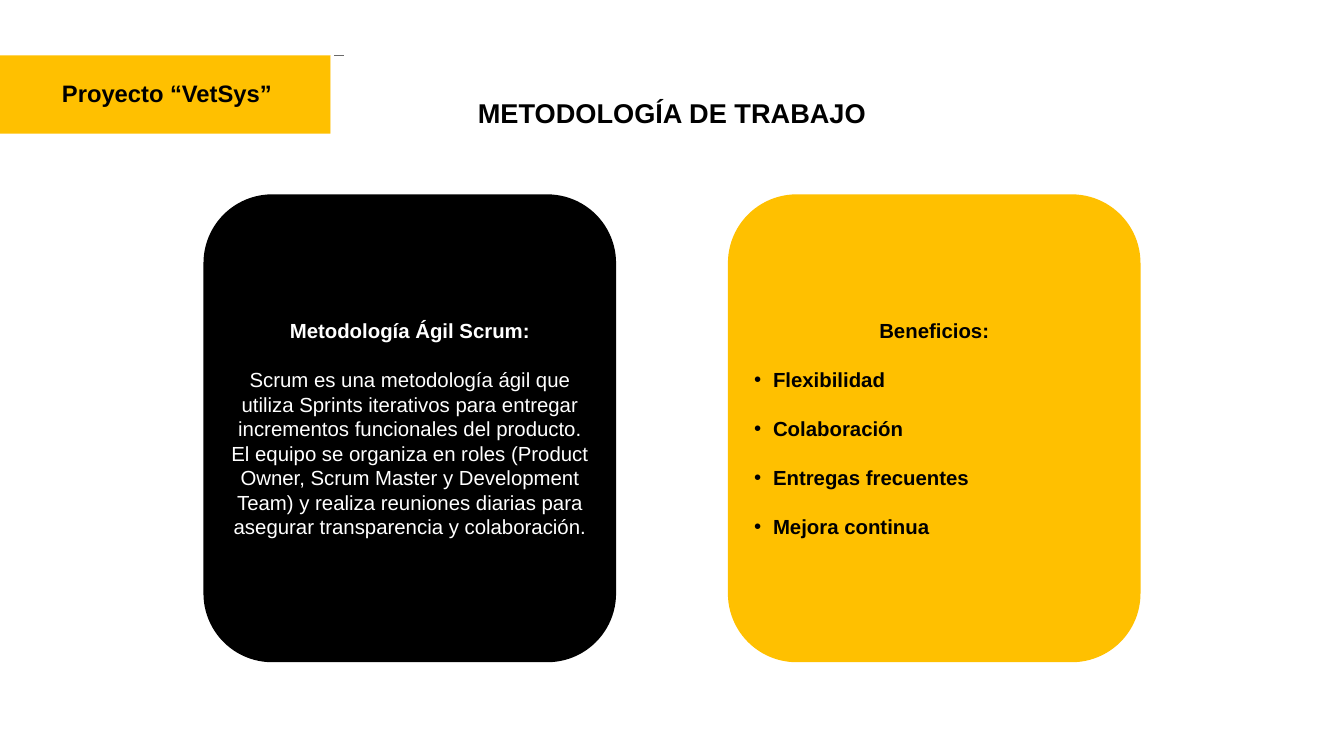
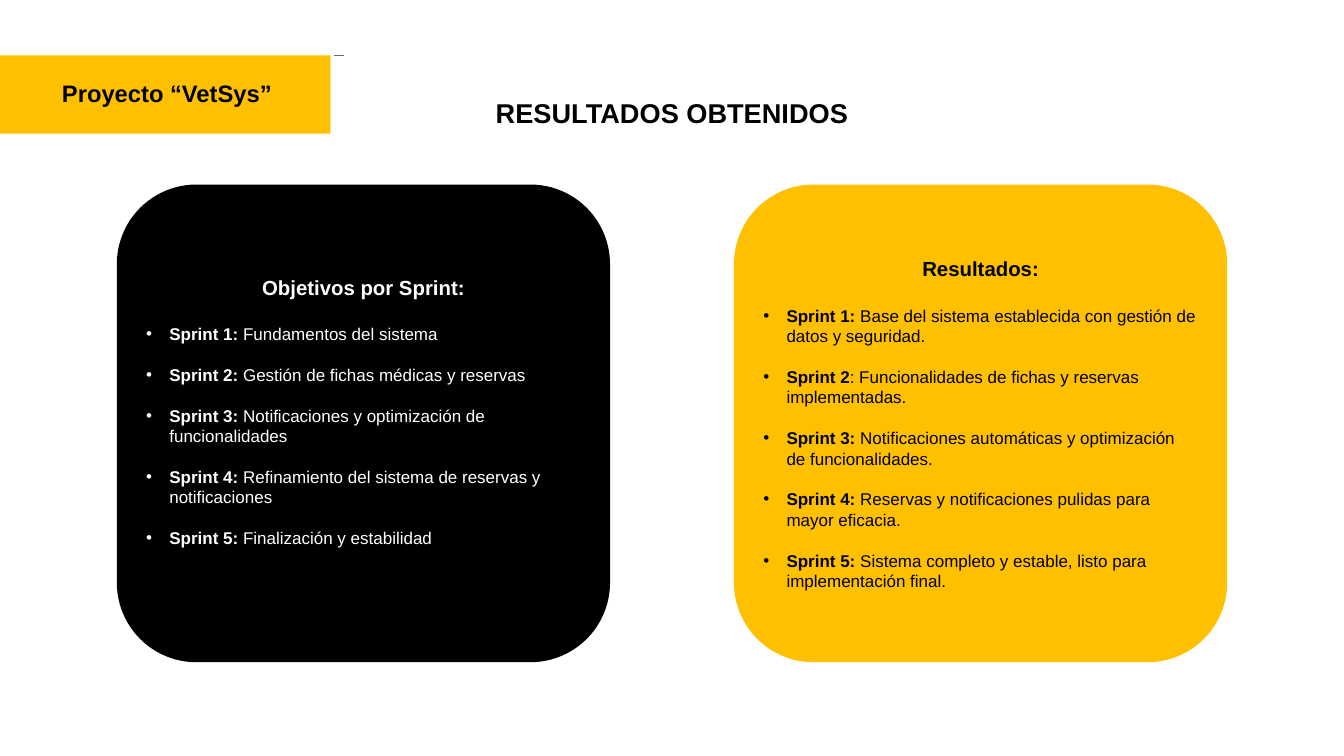
from dataclasses import dataclass

from lxml import etree
from pptx import Presentation
from pptx.dml.color import RGBColor
from pptx.enum.shapes import MSO_SHAPE
from pptx.enum.text import MSO_ANCHOR, MSO_AUTO_SIZE, PP_ALIGN
from pptx.oxml.ns import qn
from pptx.util import Emu, Inches, Pt

CENTER, LEFT = PP_ALIGN.CENTER, PP_ALIGN.LEFT
MIDDLE = MSO_ANCHOR.MIDDLE
NO_FIT = MSO_AUTO_SIZE.NONE
RECTANGLE, ROUNDED = MSO_SHAPE.RECTANGLE, MSO_SHAPE.ROUNDED_RECTANGLE
WIDTH, HEIGHT = Inches(21.99), Inches(12.37)


@dataclass(frozen=True)
class Theme:
    """Hold the colours, font and type sizes of the slides."""
    black: RGBColor = RGBColor(0, 0, 0)
    white: RGBColor = RGBColor(255, 255, 255)
    yellow: RGBColor = RGBColor(255, 192, 0)
    gray: RGBColor = RGBColor(26, 26, 26)
    font: str = "Arial"
    title: int = 32
    tag: int = 28
    heading: int = 24
    detail: int = 20
    leading: float = 1.2


THEME = Theme()
TAG = "Proyecto “VetSys”"
TAG_BOX = (0, 7.34, 24.6, 10.33)
EDGE_BOX = (24.87, 7.34, 0.75, 10.33)
EDGE_COVER_BOX = (24.6, 7.36, 3.77, 11)
TITLE_BOX = (26.83, 12.37, 46.34, 5.17)
CARD_BOTTOM = 87.6

SLIDES = [
    {
        "title": "METODOLOGÍA DE TRABAJO",
        "margin": 15.14, "top": 25.71, "width": 30.7,
        "size": THEME.heading, "indent": 0.31,
        "cards": [
            {"heading": "Metodología Ágil Scrum:", "bullets": False, "items": [
                ("", "Scrum es una metodología ágil que utiliza Sprints iterativos para "
                     "entregar incrementos funcionales del producto. El equipo se organiza "
                     "en roles (Product Owner, Scrum Master y Development Team) y realiza "
                     "reuniones diarias para asegurar transparencia y colaboración.")]},
            {"heading": "Beneficios:", "items": [
                ("Flexibilidad", ""),
                ("Colaboración", ""),
                ("Entregas frecuentes", ""),
                ("Mejora continua", "")]},
        ],
    },
    {
        "title": "RESULTADOS OBTENIDOS",
        "margin": 8.69, "top": 24.41, "width": 36.7,
        "size": THEME.detail, "indent": 0.38,
        "cards": [
            {"heading": "Objetivos por Sprint:", "bottom_inset": 0.45, "items": [
                ("Sprint 1: ", "Fundamentos del sistema"),
                ("Sprint 2: ", "Gestión de fichas médicas y reservas"),
                ("Sprint 3: ", "Notificaciones y optimización de funcionalidades"),
                ("Sprint 4: ", "Refinamiento del sistema de reservas y notificaciones"),
                ("Sprint 5: ", "Finalización y estabilidad")]},
            {"heading": "Resultados:", "items": [
                ("Sprint 1: ", "Base del sistema establecida con gestión de datos y seguridad."),
                ("Sprint 2", ": Funcionalidades de fichas y reservas implementadas."),
                ("Sprint 3: ", "Notificaciones automáticas y optimización de funcionalidades."),
                ("Sprint 4: ", "Reservas y notificaciones pulidas para mayor eficacia."),
                ("Sprint 5: ", "Sistema completo y estable, listo para implementación final.")]},
        ],
    },
]


def apply(target, **formats):
    """Set each format value on the target."""
    for name, value in formats.items():
        setattr(target, name, value)


def place(box):
    """Turn a box in percent of the slide into lengths."""
    left, top, width, height = box
    return [Emu(round(share * side / 100)) for share, side in
            ((left, WIDTH), (top, HEIGHT), (width, WIDTH), (height, HEIGHT))]


def paint(shape, color):
    """Fill a shape with one colour, no outline and no shadow."""
    shape.shadow.inherit = False
    shape.fill.solid()
    shape.fill.fore_color.rgb = color
    shape.line.fill.background()


def add_run(paragraph, text, size, color, bold):
    """Add one formatted run."""
    run = paragraph.add_run()
    run.text = text
    apply(run.font, name=THEME.font, size=Pt(size), bold=bold)
    run.font.color.rgb = color


def set_bullet(paragraph, indent):
    """Give a paragraph a bullet with a hanging indent, or none at zero."""
    properties = paragraph._p.get_or_add_pPr()
    properties.set("marL", str(Inches(indent)))
    properties.set("indent", str(-Inches(indent)))
    if indent:
        etree.SubElement(properties, qn("a:buFont")).set("typeface", THEME.font)
        etree.SubElement(properties, qn("a:buChar")).set("char", "•")
    else:
        etree.SubElement(properties, qn("a:buNone"))


def fill_placeholder(shape, box, text, size):
    """Move a placeholder to its box and set one centred bold line."""
    left, top, width, height = place(box)
    apply(shape, left=left, top=top, width=width, height=height)
    frame = shape.text_frame
    apply(frame, word_wrap=True, auto_size=NO_FIT, vertical_anchor=MIDDLE)
    paragraph = frame.paragraphs[0]
    set_bullet(paragraph, 0)
    apply(paragraph, alignment=CENTER, space_before=Pt(0))
    add_run(paragraph, text, size, THEME.black, True)


def add_edge(slide):
    """Draw the dark band edge, of which the white cover leaves a thin line."""
    left, top, width, height = place(EDGE_BOX)
    right, bottom = left + width, top + height
    outline = slide.shapes.build_freeform(left, top)
    outline.add_line_segments([(right, top), (right, bottom), (left, bottom)])
    paint(outline.convert_to_shape(), THEME.gray)
    cover = slide.shapes.add_shape(RECTANGLE, *place(EDGE_COVER_BOX))
    paint(cover, THEME.white)


def add_header(slide, title):
    """Place the project band, its edge and the slide title."""
    tag = slide.placeholders[1]
    fill_placeholder(slide.shapes.title, TITLE_BOX, title, THEME.title)
    fill_placeholder(tag, TAG_BOX, TAG, THEME.tag)
    paint(tag, THEME.yellow)
    apply(tag.text_frame, margin_left=Inches(0.05), margin_right=0,
          margin_top=0, margin_bottom=Inches(0.04))
    add_edge(slide)


def add_card(slide, box, card, fill, color, size, indent):
    """Draw a rounded card with a heading and its items."""
    shape = slide.shapes.add_shape(ROUNDED, *place(box))
    paint(shape, fill)
    frame = shape.text_frame
    apply(frame, word_wrap=True, vertical_anchor=MIDDLE, margin_top=Inches(0.06),
          margin_bottom=Inches(card.get("bottom_inset", 0.05)))
    heading = frame.paragraphs[0]
    apply(heading, alignment=CENTER, line_spacing=Pt(THEME.heading * THEME.leading))
    add_run(heading, card["heading"], THEME.heading, color, True)
    bulleted = card.get("bullets", True)
    gap = THEME.heading * THEME.leading
    for label, text in card["items"]:
        paragraph = frame.add_paragraph()
        set_bullet(paragraph, indent if bulleted else 0)
        apply(paragraph, alignment=LEFT if bulleted else CENTER,
              line_spacing=Pt(size * THEME.leading), space_before=Pt(gap))
        for part, bold in ((label, True), (text, False)):
            if part:
                add_run(paragraph, part, size, color, bold)
        gap = size * THEME.leading


def add_card_slide(presentation, content):
    """Build a slide with a header and two mirrored cards."""
    slide = presentation.slides.add_slide(presentation.slide_layouts[1])
    add_header(slide, content["title"])
    margin, top, width = (content[key] for key in ("margin", "top", "width"))
    lefts = (margin, 100 - margin - width)
    colors = ((THEME.black, THEME.white), (THEME.yellow, THEME.black))
    for left, card, (fill, color) in zip(lefts, content["cards"], colors):
        add_card(slide, (left, top, width, CARD_BOTTOM - top), card, fill, color,
                 content["size"], content["indent"])


def main():
    """Build and save the presentation."""
    presentation = Presentation()
    apply(presentation, slide_width=WIDTH, slide_height=HEIGHT)
    for content in SLIDES:
        add_card_slide(presentation, content)
    presentation.save("out.pptx")


if __name__ == "__main__":
    main()
